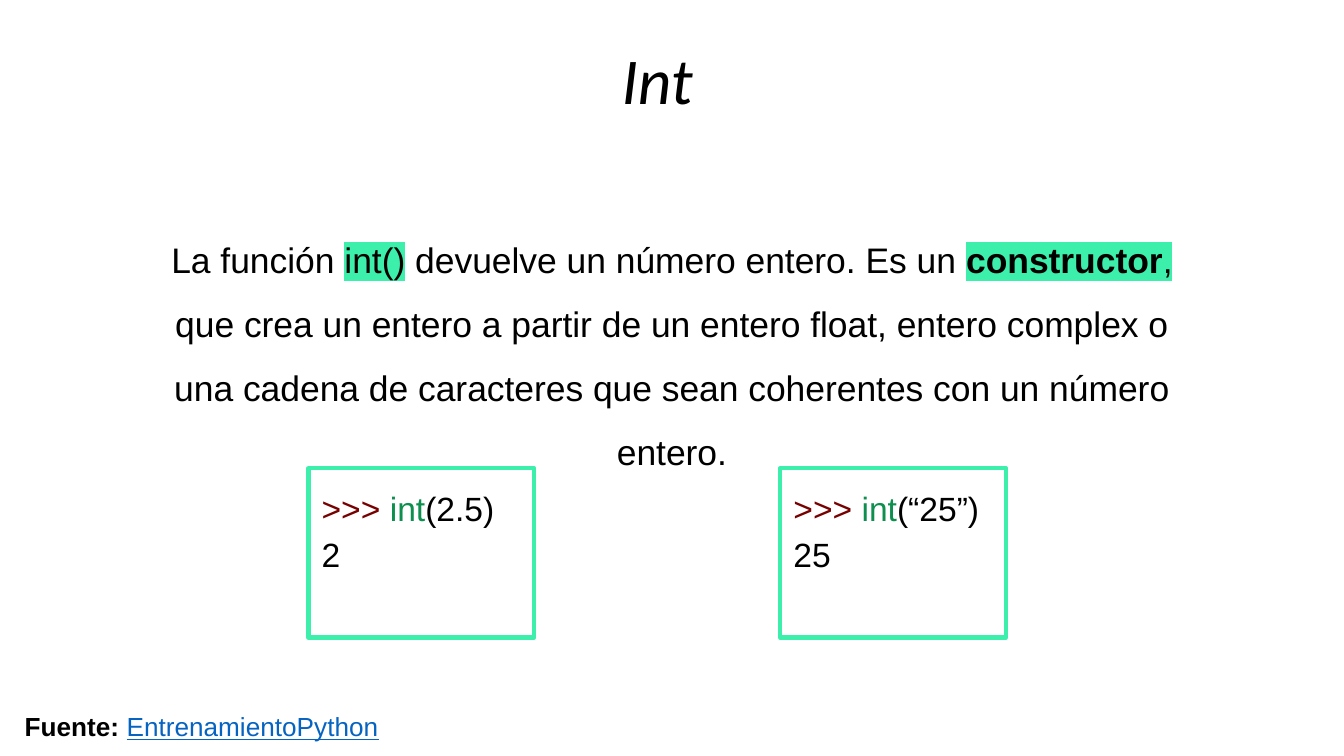
from lxml import etree
from pptx import Presentation
from pptx.dml.color import RGBColor
from pptx.enum.shapes import MSO_SHAPE
from pptx.enum.text import MSO_ANCHOR, MSO_AUTO_SIZE, PP_ALIGN
from pptx.oxml.ns import qn
from pptx.util import Pt

RECT = MSO_SHAPE.RECTANGLE
TOP, MIDDLE = MSO_ANCHOR.TOP, MSO_ANCHOR.MIDDLE
LEFT, CENTER = PP_ALIGN.LEFT, PP_ALIGN.CENTER
FIXED = MSO_AUTO_SIZE.NONE
PX = 4572
INSET = 20
MINT, WHITE, BLACK = "3CEFAB", "FFFFFF", "000000"
RED, GREEN, BLUE = "770000", "0D904F", "0563C1"


def color(code):
    return RGBColor.from_string(code)


def place(shape, box):
    shape.left, shape.top, shape.width, shape.height = [v * PX for v in box]


def frame(shape, anchor=TOP):
    text = shape.text_frame
    text.word_wrap = True
    text.auto_size = FIXED
    text.vertical_anchor = anchor
    text.margin_left = text.margin_right = INSET * PX
    text.margin_top = text.margin_bottom = INSET * PX
    return text


def mark(run, code):
    fill = run.font._element.find(qn("a:solidFill"))
    light = etree.Element(qn("a:highlight"))
    etree.SubElement(light, qn("a:srgbClr")).set("val", code)
    fill.addnext(light)


def write(para, parts, size, name="Arial", align=LEFT, space=1.15, back=None):
    para.alignment = align
    para.line_spacing = space
    para.space_before = para.space_after = Pt(0)
    for words, code, style in parts:
        run = para.add_run()
        run.text = words
        font = run.font
        font.name, font.size = name, Pt(size)
        font.bold = "b" in style
        font.italic = "i" in style
        font.underline = "u" in style
        font.color.rgb = color(code)
        light = MINT if "h" in style else back
        if light:
            mark(run, light)


def title(slide, box):
    shape = slide.shapes.title
    place(shape, box)
    text = frame(shape, MIDDLE)
    write(text.paragraphs[0], [("Int", BLACK, "i")], 35, "Calibri", CENTER, 1.0)


def body(slide, box):
    shape = slide.placeholders[1]
    place(shape, box)
    para = frame(shape).paragraphs[0]
    props = para._p.get_or_add_pPr()
    props.set("marL", "0")
    props.set("indent", "0")
    etree.SubElement(props, qn("a:buNone"))
    parts = [
        ("La función ", BLACK, ""),
        ("int()", BLACK, "h"),
        (" devuelve un número entero. Es un ", BLACK, ""),
        ("constructor", BLACK, "bh"),
        (", ", BLACK, "h"),
        ("que crea un entero a partir de un entero float, entero complex o "
         "una cadena de caracteres que sean coherentes con un número entero.", BLACK, ""),
    ]
    write(para, parts, 19, align=CENTER, space=1.5)


def label(slide, box):
    shape = slide.shapes.add_textbox(0, 0, 0, 0)
    place(shape, box)
    return shape


def panel(slide, box):
    shape = slide.shapes.add_shape(RECT, 0, 0, 0, 0)
    place(shape, box)
    shape.shadow.inherit = False
    shape.fill.background()
    shape.line.color.rgb = color(MINT)
    shape.line.width = Pt(2.25)
    return shape


def sample(shape, value, result):
    text = frame(shape)
    call = [(">>>", RED, ""), (" ", BLACK, ""), ("int", GREEN, ""), (f"({value})", BLACK, "")]
    write(text.paragraphs[0], call, 18, back=WHITE)
    write(text.add_paragraph(), [(result, BLACK, "")], 18, back=WHITE)


def source(slide, box):
    parts = [("Fuente: ", BLACK, "b"), ("EntrenamientoPython", BLUE, "u")]
    write(frame(label(slide, box)).paragraphs[0], parts, 14)


def main():
    deck = Presentation()
    deck.slide_width, deck.slide_height = 2000 * PX, 1125 * PX
    slide = deck.slides.add_slide(deck.slide_layouts[1])
    title(slide, (210, 8, 1536, 216))
    body(slide, (212, 303, 1576, 822))
    sample(label(slide, (1161, 697, 656, 170)), "“25”", "25")
    sample(panel(slide, (459, 697, 336, 252)), "2.5", "2")
    panel(slide, (1161, 697, 336, 252))
    source(slide, (17, 1030, 656, 88))
    deck.save("out.pptx")


if __name__ == "__main__":
    main()
